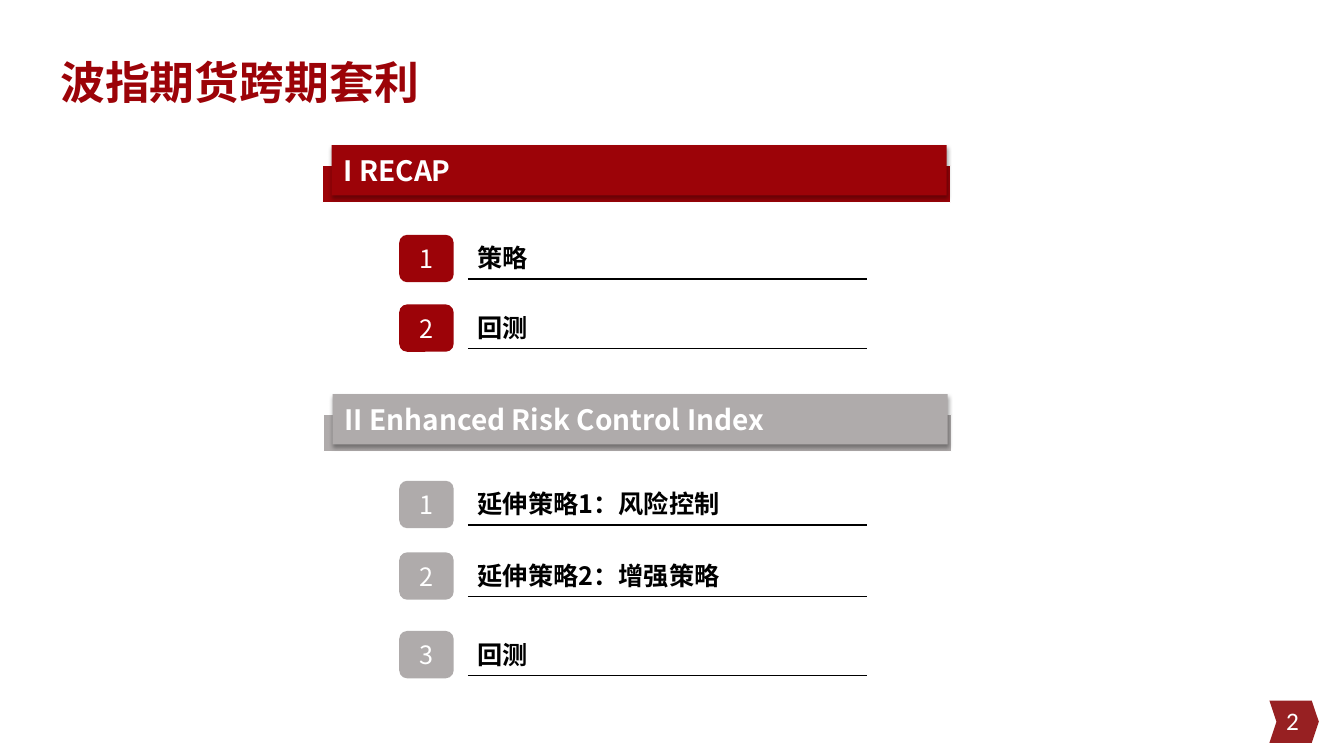
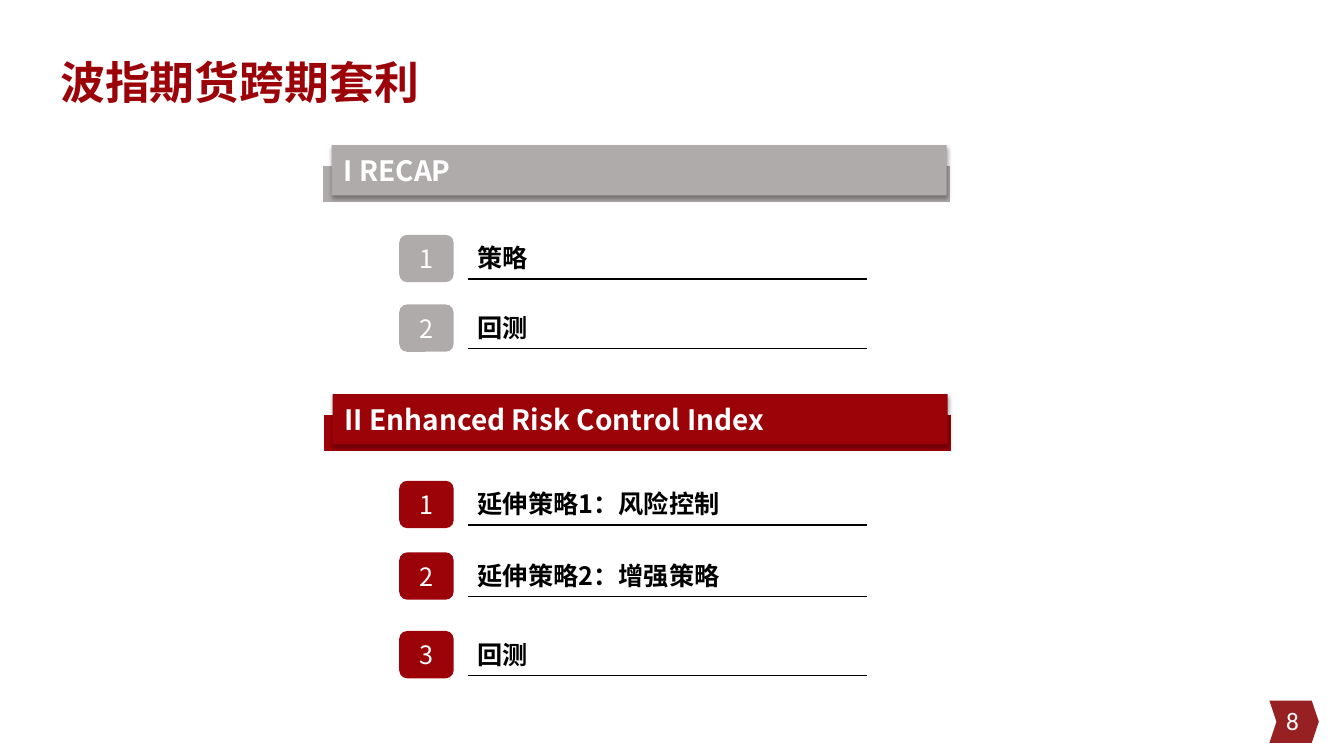
"""Build the two agenda slides, each highlighting one section."""
from lxml import etree
from pptx import Presentation
from pptx import util as u
from pptx.dml.color import RGBColor
from pptx.enum import shapes, text
from pptx.oxml import parse_xml
from pptx.oxml.ns import qn

RED, GREY, WHITE, BLACK = "9C0308", "AFABAB", "FFFFFF", "000000"
CHEVRON_RED = "972022"
FONT, NUMBER_FONT = "Noto Sans CJK SC", "Calibri"
KIND = shapes.MSO_SHAPE
ALIGN = text.PP_ALIGN
ANCHOR = text.MSO_ANCHOR
SHADOW = (
    '<a:effectLst xmlns:a="http://schemas.openxmlformats.org/drawingml/2006/main">'
    '<a:outerShdw blurRad="39370" dist="22860" dir="5400000" rotWithShape="0">'
    '<a:srgbClr val="000000"><a:alpha val="35000"/></a:srgbClr>'
    "</a:outerShdw></a:effectLst>"
)
SECTIONS = [
    ("I RECAP", 3.2, 1.44, [("策略", 2.33), ("回测", 3.02)]),
    ("II Enhanced Risk Control Index", 3.21, 3.91,
     [("延伸策略1：风险控制", 4.77), ("延伸策略2：增强策略", 5.48), ("回测", 6.26)]),
]


def add_block(slide, kind, box, fill):
    """Add a filled preset shape without outline or shadow."""
    shape = slide.shapes.add_shape(kind, *[u.Inches(length) for length in box])
    shape.shadow.inherit = False
    shape.fill.solid()
    shape.fill.fore_color.rgb = RGBColor.from_string(fill)
    shape.line.fill.background()
    return shape


def write(slide, target, words, size, color, bold=False, align=ALIGN.LEFT,
          anchor=ANCHOR.TOP, font=FONT):
    """Write one line of text into a shape, or into a new text box at a position."""
    if isinstance(target, tuple):
        target = slide.shapes.add_textbox(*[u.Inches(length) for length in target])
    frame = target.text_frame
    frame.word_wrap = True
    frame.vertical_anchor = anchor
    paragraph = frame.paragraphs[0]
    paragraph.alignment = align
    run = paragraph.add_run()
    run.text = words
    run.font.size = u.Pt(size)
    run.font.bold = bold
    run.font.name = font
    run.font.color.rgb = RGBColor.from_string(color)
    etree.SubElement(run.font._element, qn("a:ea"), typeface=font)
    return paragraph


presentation = Presentation()
presentation.slide_width = u.Inches(13.33)
presentation.slide_height = u.Inches(7.5)

for page, active in [("2", 0), ("8", 1)]:
    slide = presentation.slides.add_slide(presentation.slide_layouts[6])
    chevron = add_block(slide, KIND.CHEVRON, (12.59, 6.95, 0.49, 0.42), CHEVRON_RED)
    chevron.adjustments[0] = 0.167
    write(slide, (9.98, 6.95, 3, 0.4), page, 18, WHITE, align=ALIGN.RIGHT,
          anchor=ANCHOR.MIDDLE, font=NUMBER_FONT)
    title = write(slide, (0.5, 0.42, 11.5, 0.85), "波指期货跨期套利", 32, RED,
                  bold=True, anchor=ANCHOR.MIDDLE)
    title.line_spacing = 0.9

    for index, (heading, left, top, items) in enumerate(SECTIONS):
        color = RED if index == active else GREY
        base = add_block(slide, KIND.RECTANGLE, (left, top + 0.2, 6.23, 0.37), color)
        base.line.color.rgb = RGBColor.from_string(WHITE)
        base.line.width = u.Pt(1)
        band = add_block(slide, KIND.RECTANGLE, (left + 0.09, top, 6.1, 0.5), color)
        properties = band._element.spPr
        properties.replace(properties.find(qn("a:effectLst")), parse_xml(SHADOW))
        label = add_block(slide, KIND.RECTANGLE, (left + 0.11, top + 0.03, 6.06, 0.44), color)
        write(slide, label, heading, 20, WHITE, bold=True)

        for number, (item, row) in enumerate(items, 1):
            write(slide, (4.64, row + 0.03, 4.87, 0.4), item, 18, BLACK, bold=True)
            badge = add_block(slide, KIND.ROUNDED_RECTANGLE, (3.96, row, 0.54, 0.47), color)
            write(slide, badge, str(number), 18, WHITE, align=ALIGN.CENTER,
                  anchor=ANCHOR.MIDDLE)
            rule = slide.shapes.add_connector(
                shapes.MSO_CONNECTOR.STRAIGHT, u.Inches(4.64), u.Inches(row + 0.44),
                u.Inches(8.6), u.Inches(row + 0.44))
            rule.line.color.rgb = RGBColor.from_string(BLACK)
            rule.line.width = u.Pt(1)
            etree.SubElement(rule._element.spPr, qn("a:effectLst"))

presentation.save("out.pptx")
